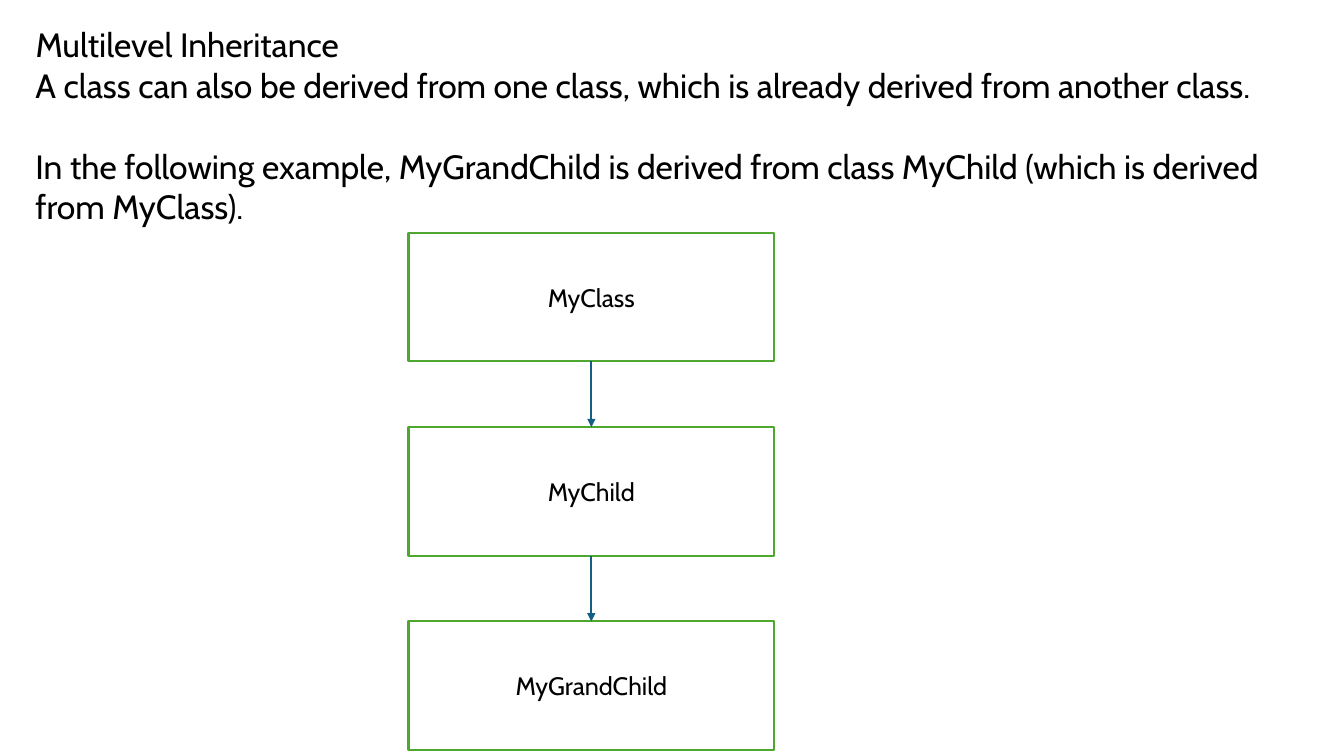
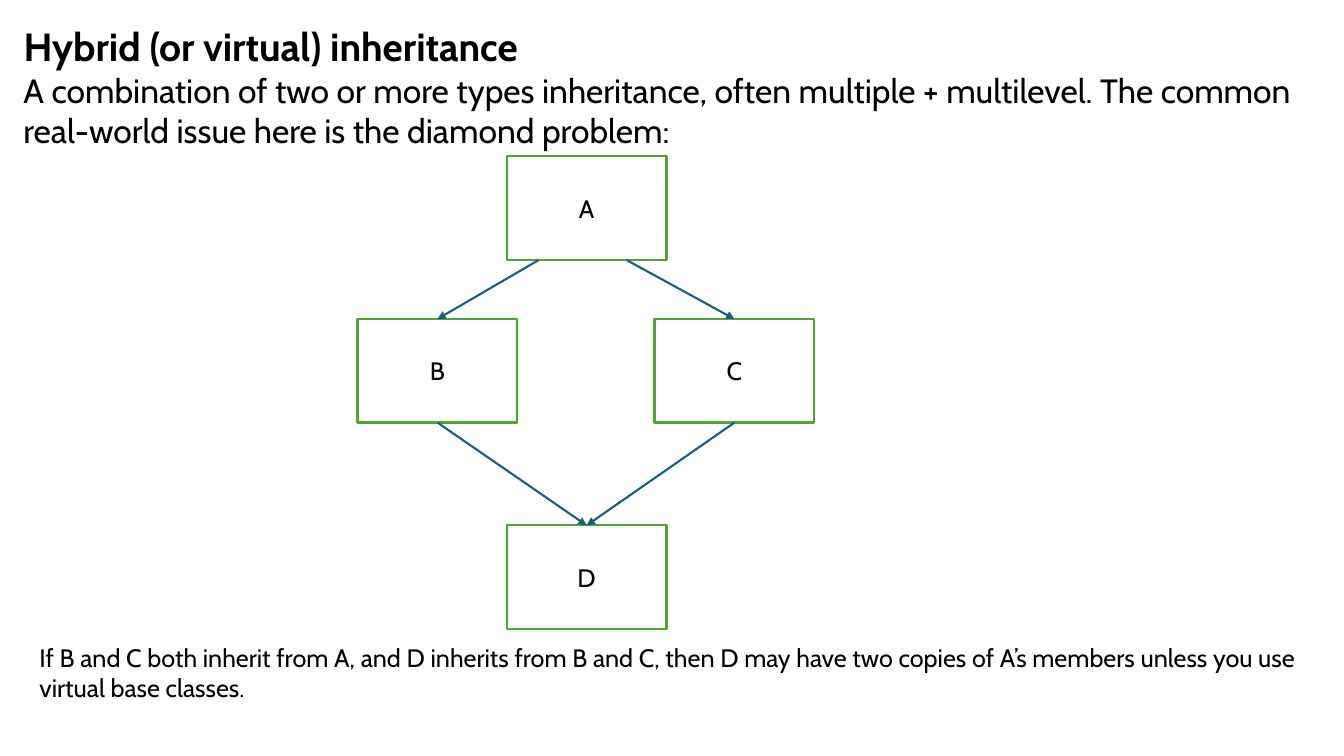
from lxml.etree import SubElement
from pptx import Presentation
from pptx.dml.color import RGBColor as Rgb
from pptx.enum.shapes import MSO_CONNECTOR as Conn, MSO_SHAPE as Form
from pptx.enum.text import MSO_ANCHOR as Anchor, MSO_AUTO_SIZE as Fit, PP_ALIGN as Align
from pptx.oxml.ns import qn
from pptx.util import Inches, Pt

INK = {"text": "000000", "fill": "FFFFFF", "edge": "4EA72E", "arrow": "156082"}
FRAME = {"word_wrap": True, "auto_size": Fit.NONE, "margin_top": 0, "margin_bottom": 0}


def tint(name):
    return Rgb.from_string(INK[name])


def apply(item, style):
    for key, value in style.items():
        setattr(item, key, value)


class Deck:
    def __init__(self):
        self.prs = Presentation()
        apply(self.prs, {"slide_width": Inches(13.333), "slide_height": Inches(7.5)})
        self.page = None

    def area(self, x, y, w, h):
        wide, high = self.prs.slide_width / 100, self.prs.slide_height / 100
        return [round(n) for n in (x * wide, y * high, w * wide, h * high)]

    def label(self, shape, texts, size, bold=False, align=Align.LEFT, anchor=Anchor.TOP, gap=0):
        frame = shape.text_frame
        apply(frame, {**FRAME, "vertical_anchor": anchor})
        for i, text in enumerate(texts):
            para = frame.add_paragraph() if i else frame.paragraphs[0]
            apply(para, {"alignment": align, "space_before": Pt(gap if i else 0)})
            run = para.add_run()
            run.text = text
            apply(run.font, {"name": "Cabin", "size": Pt(size), "bold": bold})
            run.font.color.rgb = tint("text")

    def stroke(self, shape, name):
        shape.line.color.rgb = tint(name)
        shape.line.width = Pt(1.5)

    def start(self, text, area, size, bold=False):
        self.page = self.prs.slides.add_slide(self.prs.slide_layouts[5])
        title = self.page.shapes.title
        apply(title, dict(zip(("left", "top", "width", "height"), self.area(*area))))
        self.label(title, [text], size, bold)

    def text(self, texts, area, size, gap=0):
        box = self.page.shapes.add_textbox(*self.area(*area))
        self.label(box, texts, size, gap=gap)

    def node(self, text, area):
        box = self.page.shapes.add_shape(Form.RECTANGLE, *self.area(*area))
        box.shadow.inherit = False
        box.fill.solid()
        box.fill.fore_color.rgb = tint("fill")
        self.stroke(box, "edge")
        self.label(box, [text], 18, align=Align.CENTER, anchor=Anchor.MIDDLE)
        return box

    def link(self, top, low, share=0.5):
        x, y = round(top.left + top.width * share), top.top + top.height
        line = self.page.shapes.add_connector(Conn.STRAIGHT, x, y, x, y)
        if share == 0.5:
            line.begin_connect(top, 2)
        line.end_connect(low, 0)
        self.stroke(line, "arrow")
        props = line._element.spPr
        SubElement(props.find(qn("a:ln")), qn("a:tailEnd"), type="triangle")
        SubElement(props, qn("a:effectLst"))


def levels(deck):
    deck.start("Multilevel Inheritance", (1.9, 3.2, 96.7, 5.4), 24)
    deck.text([
        "A class can also be derived from one class, which is already derived from another class.",
        "In the following example, MyGrandChild is derived from class MyChild "
        "(which is derived from MyClass).",
    ], (1.9, 8.6, 96.7, 21.4), 24, gap=29)
    names = ("MyClass", "MyChild", "MyGrandChild")
    nodes = [deck.node(name, (30.4, 30.8 + 25.7 * i, 27.2, 17)) for i, name in enumerate(names)]
    for top, low in zip(nodes, nodes[1:]):
        deck.link(top, low)


def hybrid(deck):
    deck.start("Hybrid (or virtual) inheritance", (1, 2.9, 98, 6.3), 28, bold=True)
    deck.text([
        "A combination of two or more types inheritance, often multiple + multilevel. "
        "The common real-world issue here is the diamond problem:",
    ], (1, 9.2, 98, 10.8), 24)
    spots = {"A": (37.7, 20.7), "B": (26.6, 42.2), "C": (48.7, 42.2), "D": (37.7, 69.5)}
    nodes = {name: deck.node(name, (*spot, 11.9, 13.7)) for name, spot in spots.items()}
    for name, share in (("B", 0.2), ("C", 0.75)):
        deck.link(nodes["A"], nodes[name], share)
        deck.link(nodes[name], nodes["D"])
    deck.text([
        "If B and C both inherit from A, and D inherits from B and C, then D may have "
        "two copies of A’s members unless you use virtual base classes.",
    ], (2.2, 84.9, 96.8, 8.1), 18)


def main():
    deck = Deck()
    levels(deck)
    hybrid(deck)
    deck.prs.save("out.pptx")


if __name__ == "__main__":
    main()
